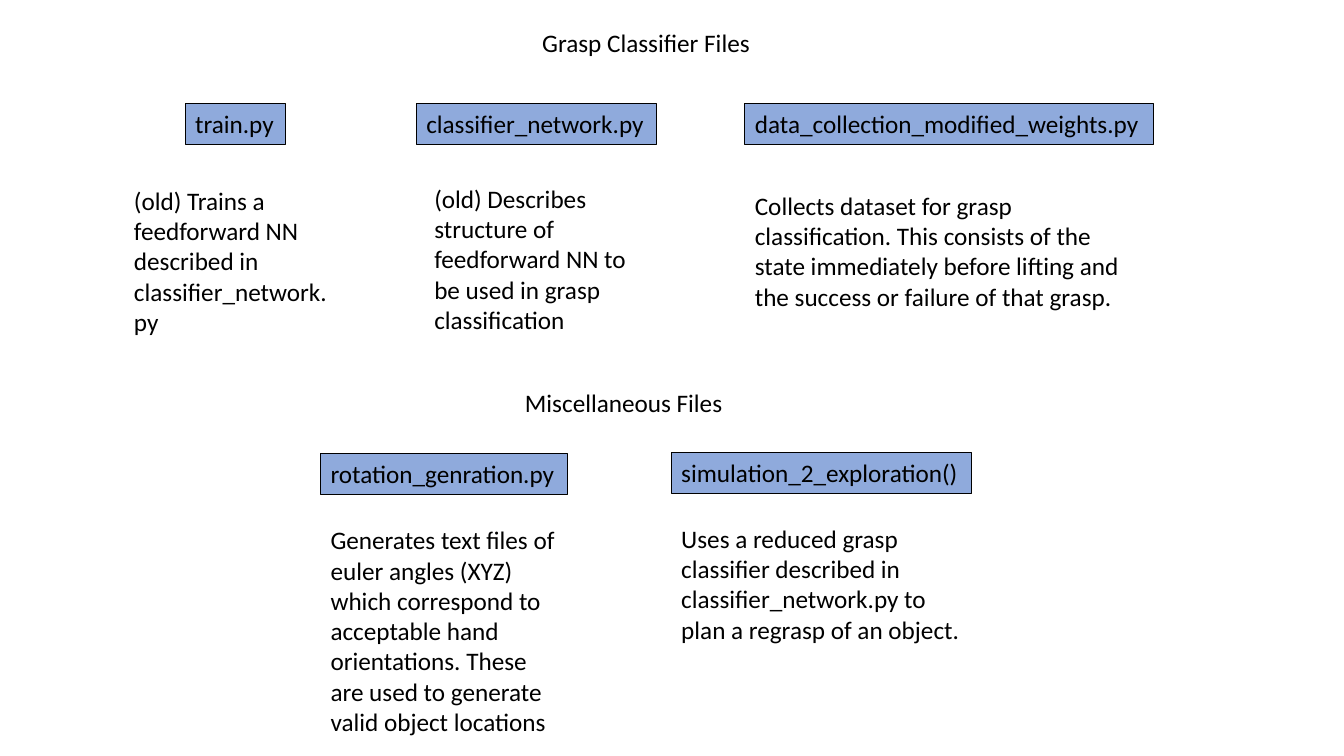
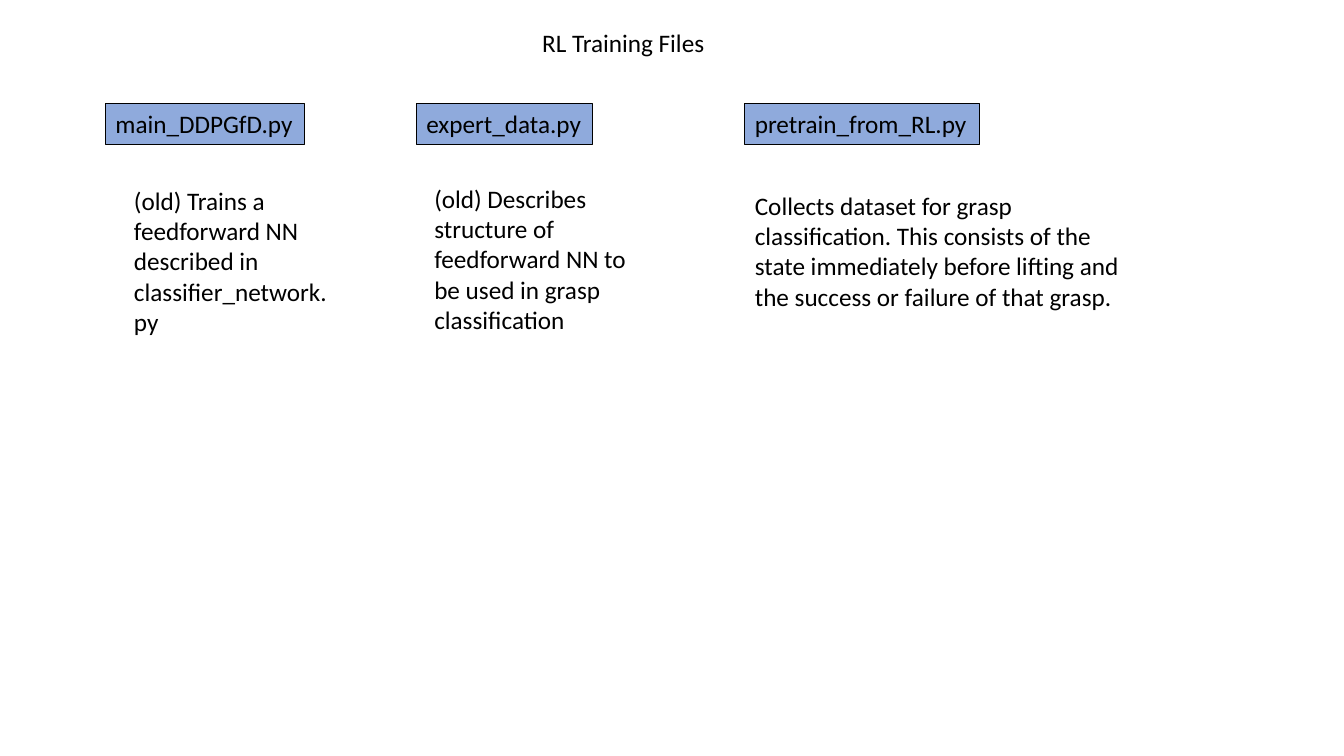
from dataclasses import dataclass

from pptx import Presentation
from pptx.dml.color import RGBColor
from pptx.enum.text import MSO_AUTO_SIZE, PP_ALIGN
from pptx.util import Pt


@dataclass(frozen=True)
class Theme:
    font: str = "Calibri"
    size: float = 18
    ink: RGBColor = RGBColor(0x00, 0x00, 0x00)
    tag_fill: RGBColor = RGBColor(0x8F, 0xAA, 0xDC)
    tag_line: float = 0.75
    line_height: float = 21.8
    padding: float = 7.2


THEME = Theme()

# Descriptions: text, left, top, width, number of lines
TRAIN_NOTE = ("(old) Trains a feedforward NN described in classifier_network.py",
              88.6, 128.8, 159.1, 5)
NETWORK_NOTE = ("(old) Describes structure of feedforward NN to be used in grasp classification",
                303.1, 127.4, 159.1, 5)
COLLECTION_NOTE = ("Collects dataset for grasp classification. This consists of the state "
                   "immediately before lifting and the success or failure of that grasp.",
                   532.1, 132.4, 291.6, 4)
ROTATION_NOTE = ("Generates text files of euler angles (XYZ) which correspond to acceptable "
                 "hand orientations. These are used to generate valid object locations",
                 229, 371.3, 176.4, 7)
EXPLORATION_NOTE = ("Uses a reduced grasp classifier described in classifier_network.py "
                    "to plan a regrasp of an object.",
                    479.5, 370.2, 214.6, 4)

# Each section: heading and files; headings and tags are (text, left, top, width)
TITLE_LEFT, TITLE_TOP, TAG_TOP = 380.2, 15.9, 74.1
SECOND_TAG_LEFT, THIRD_TAG_LEFT = 297.4, 532.1

SLIDES = [
    [
        {"heading": ("Grasp Classifier Files", TITLE_LEFT, TITLE_TOP, 164),
         "files": [
             (("train.py", 132.3, TAG_TOP, 71.5), TRAIN_NOTE),
             (("classifier_network.py", SECOND_TAG_LEFT, TAG_TOP, 171.5), NETWORK_NOTE),
             (("data_collection_modified_weights.py", THIRD_TAG_LEFT, TAG_TOP, 291.6),
              COLLECTION_NOTE),
         ]},
        {"heading": ("Miscellaneous Files", 367.9, 272.9, 161.3),
         "files": [
             (("rotation_genration.py", 229, 324, 176.4), ROTATION_NOTE),
             (("simulation_2_exploration()", 479.5, 323.3, 214.6), EXPLORATION_NOTE),
         ]},
    ],
    [
        {"heading": ("RL Training Files", TITLE_LEFT, TITLE_TOP, 131.8),
         "files": [
             (("main_DDPGfD.py", 75.4, TAG_TOP, 142.4), TRAIN_NOTE),
             (("expert_data.py", SECOND_TAG_LEFT, TAG_TOP, 126), NETWORK_NOTE),
             (("pretrain_from_RL.py", THIRD_TAG_LEFT, TAG_TOP, 167.3), COLLECTION_NOTE),
         ]},
    ],
]


def add_text(page, text, left, top, width, lines=1, wrap=False):
    """Add a left-aligned text box tall enough for its lines."""
    height = lines * THEME.line_height + THEME.padding
    box = page.shapes.add_textbox(Pt(left), Pt(top), Pt(width), Pt(height))
    frame = box.text_frame
    frame.word_wrap = wrap
    frame.auto_size = MSO_AUTO_SIZE.SHAPE_TO_FIT_TEXT
    paragraph = frame.paragraphs[0]
    paragraph.text = text
    paragraph.alignment = PP_ALIGN.LEFT
    paragraph.font.name = THEME.font
    paragraph.font.size = Pt(THEME.size)
    paragraph.font.color.rgb = THEME.ink
    return box


def add_tag(page, tag):
    """Add a file name in a filled, outlined box."""
    box = add_text(page, *tag)
    box.fill.solid()
    box.fill.fore_color.rgb = THEME.tag_fill
    box.line.color.rgb = THEME.ink
    box.line.width = Pt(THEME.tag_line)


def add_section(page, section):
    add_text(page, *section["heading"])
    for tag, note in section["files"]:
        add_tag(page, tag)
        add_text(page, *note, wrap=True)


def main():
    deck = Presentation()
    deck.slide_width, deck.slide_height = Pt(960), Pt(540)
    blank = deck.slide_layouts[6]
    for sections in SLIDES:
        page = deck.slides.add_slide(blank)
        for section in sections:
            add_section(page, section)
    deck.save("out.pptx")


if __name__ == "__main__":
    main()
